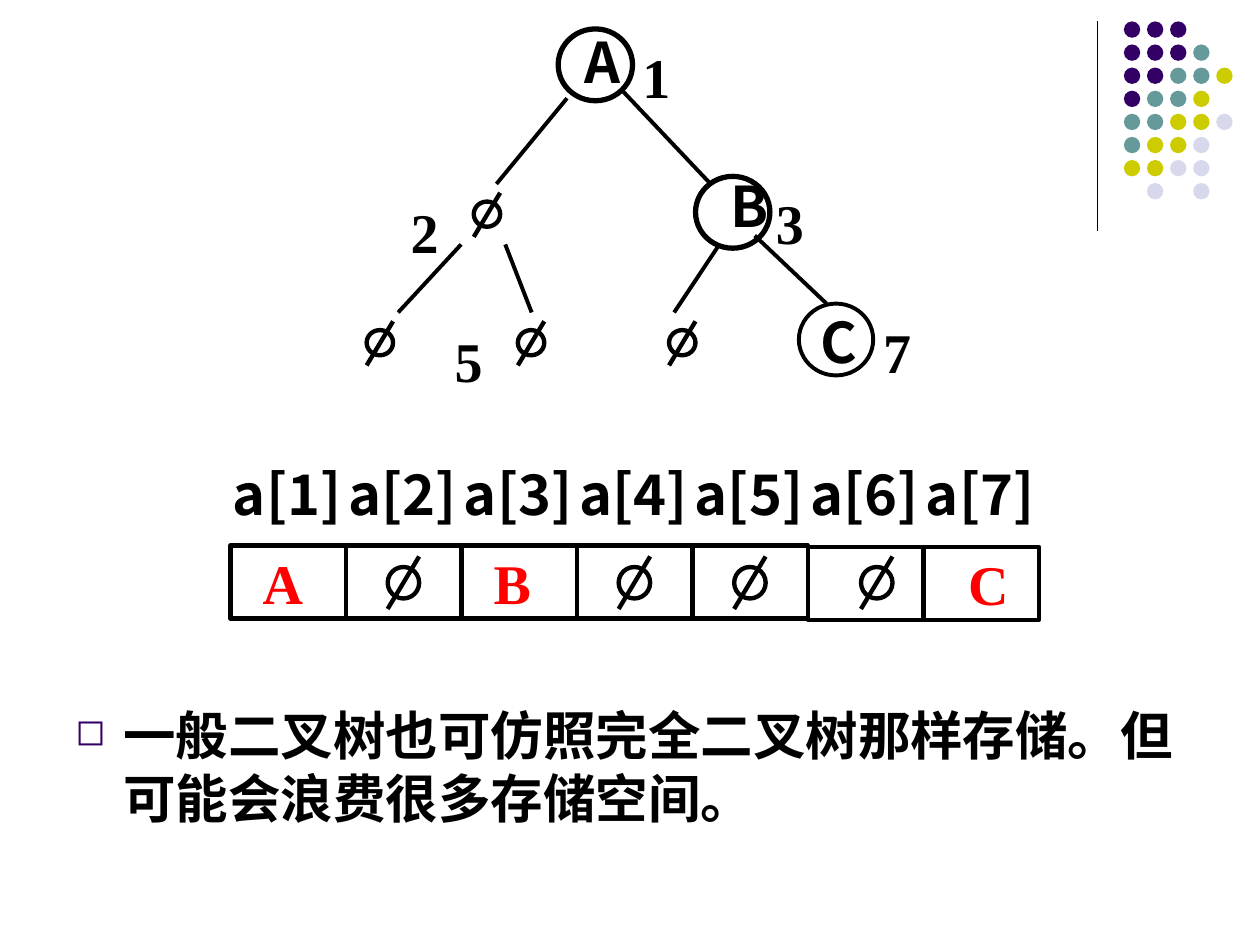
from lxml import etree
from pptx import Presentation
from pptx.dml.color import RGBColor
from pptx.enum.shapes import MSO_CONNECTOR, MSO_SHAPE
from pptx.enum.text import MSO_ANCHOR, PP_ALIGN
from pptx.oxml.ns import qn
from pptx.util import Inches, Pt

OVAL, RECT = MSO_SHAPE.OVAL, MSO_SHAPE.RECTANGLE
NODE = MSO_SHAPE.FLOWCHART_CONNECTOR
STRAIGHT = MSO_CONNECTOR.STRAIGHT
LEFT, CENTER = PP_ALIGN.LEFT, PP_ALIGN.CENTER
TOP, MIDDLE = MSO_ANCHOR.TOP, MSO_ANCHOR.MIDDLE

SANS, SERIF, BODY_FONT = "Noto Sans CJK SC", "Times New Roman", "Arial"
BLACK, RED, PURPLE = "000000", "FF0000", "330066"
DOT_COLORS = {"P": PURPLE, "T": "669999", "Y": "CCCC00", "L": "D8D8EC"}
DOT_ROWS = ["PPP", "PPPT", "PPTTY", "PTTY", "TTYYL", "TYYL", "YYLL", " L L"]
DOT_PITCH = 0.18 + 0.01 / 3

NODES = [(4.43, 0.23, 3), (5.52, 1.4, 3), (6.34, 2.41, 2.25)]
NODE_LABELS = [
    ("A", 4.54, 0.17, 0.49, LEFT, True),
    ("B ", 5.7, 1.31, 0.42, CENTER, False),
    ("C", 6.41, 2.39, 0.42, CENTER, False),
]
EDGES = [
    (4.5, 0.78, 3.94, 1.46), (4.93, 0.71, 5.64, 1.46),
    (3.66, 1.94, 3.16, 2.48), (4.01, 1.94, 4.22, 2.48),
    (5.71, 1.94, 5.35, 2.48), (5.99, 1.87, 6.56, 2.41),
]
EMPTY_NODES = [(3.76, 1.6), (2.91, 2.62), (4.11, 2.62), (5.31, 2.62)]
NUMBERS = [
    ("1", 5, 0.29), ("2", 3.16, 1.52), ("3", 6.06, 1.45),
    ("5", 3.51, 2.54), ("7", 6.91, 2.47),
]

CELLS = ["A ", "", "B ", "", "", "", " C"]
CELL_LEFT, CELL_WIDTH, CELL_HEIGHT = 1.83, 5.5 / 6, 0.58
NOTE = "一般二叉树也可仿照完全二叉树那样存储。但可能会浪费很多存储空间。"


def rgb(color):
    return RGBColor.from_string(color)


def write(s, text, font, size, color=BLACK, align=LEFT, anchor=TOP, wrap=True):
    tf = s.text_frame
    tf.word_wrap = wrap
    tf.vertical_anchor = anchor
    p = tf.paragraphs[0]
    p.alignment = align
    r = p.add_run()
    r.text = text
    formats = {"name": font, "size": Pt(size), "bold": True}
    for name, value in formats.items():
        setattr(r.font, name, value)
    r.font.color.rgb = rgb(color)
    etree.SubElement(r.font._element, qn("a:ea"), typeface=SANS)
    return p


def add_text(sp, x, y, w, h, text, font, size, **options):
    s = sp.add_textbox(Inches(x), Inches(y), Inches(w), Inches(h))
    return write(s, text, font, size, **options)


def add_shape(sp, kind, x, y, w, h, fill=None, line=None):
    s = sp.add_shape(kind, Inches(x), Inches(y), Inches(w), Inches(h))
    s.shadow.inherit = False
    if fill:
        s.fill.solid()
        s.fill.fore_color.rgb = rgb(fill)
    else:
        s.fill.background()
    if line:
        s.line.color.rgb = rgb(BLACK)
        s.line.width = Pt(line)
    else:
        s.line.fill.background()
    return s


def add_line(sp, x1, y1, x2, y2, width):
    s = sp.add_connector(STRAIGHT, Inches(x1), Inches(y1), Inches(x2), Inches(y2))
    s.line.color.rgb = rgb(BLACK)
    s.line.width = Pt(width)
    etree.SubElement(s._element.spPr, qn("a:effectLst"))


def add_empty_mark(sp, x, y, w, h):
    add_shape(sp, OVAL, x, y, w, h, line=2.5)
    add_line(sp, x + w, y - w / 3, x, y + w * 4 / 3, 2.5)


def add_corner(sp):
    add_line(sp, 8.71, 0.17, 8.71, 1.83, 0.75)
    for row, codes in enumerate(DOT_ROWS):
        for col, code in enumerate(codes):
            if code in DOT_COLORS:
                add_shape(sp, OVAL, 8.92 + col * DOT_PITCH, 0.17 + row * DOT_PITCH,
                          0.13, 0.13, fill=DOT_COLORS[code])


def add_tree(sp):
    for x, y, width in NODES:
        add_shape(sp, NODE, x, y, 0.59, 0.57, line=width)
    for text, x, y, w, align, wrap in NODE_LABELS:
        add_text(sp, x, y, w, 0.56, text, SANS, 32, align=align, wrap=wrap)
    for edge in EDGES:
        add_line(sp, *edge, 2.25)
    for x, y in EMPTY_NODES:
        add_empty_mark(sp, x, y, 0.21, 0.2)
    for text, x, y in NUMBERS:
        add_text(sp, x, y, 0.42, 0.64, text, SERIF, 32)


def add_array(sp):
    for i, text in enumerate(CELLS):
        x = CELL_LEFT + i * CELL_WIDTH
        y = 4.33 if i < 5 else 4.34
        add_text(sp, x - 0.08, 3.6, 1.25, 0.75, f"a[{i + 1}]", SANS, 32)
        s = add_shape(sp, RECT, x, y, CELL_WIDTH, CELL_HEIGHT, line=2.5)
        if text:
            write(s, text, SERIF, 32, color=RED, align=CENTER, anchor=MIDDLE)
        else:
            indent = 0.42 if i == 5 else 0.33
            add_empty_mark(sp, x + indent, 4.5, 0.25, 0.25)


def add_note(sp):
    p = add_text(sp, 0.5, 5.53, 9, 1.17, NOTE, BODY_FONT, 30)
    p.line_spacing = Pt(36)
    pPr = p._p.get_or_add_pPr()
    indent = Inches(0.38)
    pPr.set("marL", str(indent))
    pPr.set("indent", str(-indent))
    bullet_color = etree.SubElement(pPr, qn("a:buClr"))
    etree.SubElement(bullet_color, qn("a:srgbClr"), val=PURPLE)
    etree.SubElement(pPr, qn("a:buSzPct"), val="70000")
    etree.SubElement(pPr, qn("a:buChar"), char="◻")


def main():
    prs = Presentation()
    prs.slide_width, prs.slide_height = Inches(10), Inches(7.5)
    sp = prs.slides.add_slide(prs.slide_layouts[6]).shapes
    add_corner(sp)
    add_note(sp)
    add_tree(sp)
    add_array(sp)
    prs.save("out.pptx")


if __name__ == "__main__":
    main()
